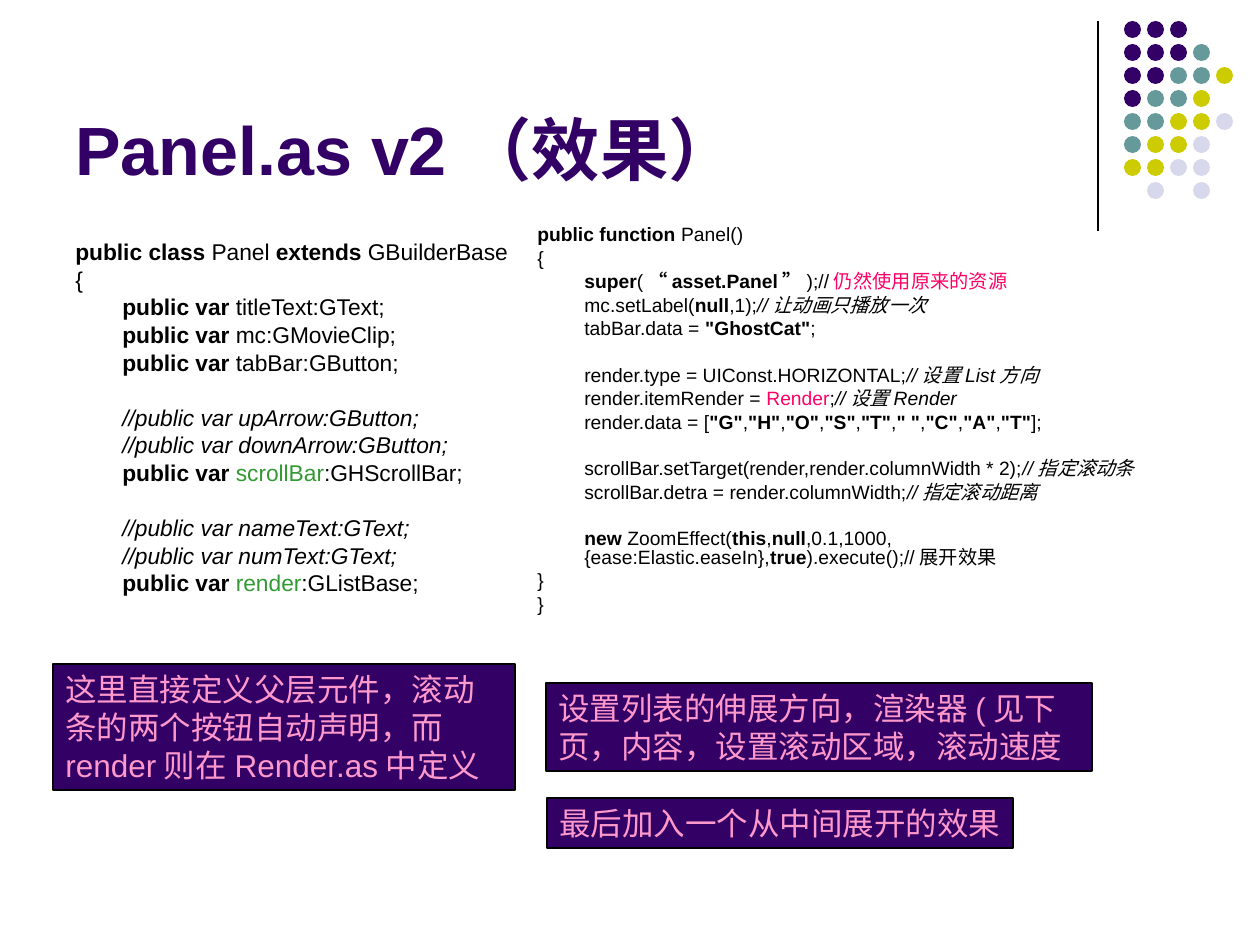
from pptx import Presentation
from pptx.dml.color import RGBColor
from pptx.enum.shapes import MSO_CONNECTOR, MSO_SHAPE
from pptx.enum.text import MSO_ANCHOR, PP_ALIGN
from pptx.oxml.ns import qn
from pptx.util import Pt
from lxml.etree import SubElement

COLORS = {
    "purple": "330066", "teal": "669999", "olive": "CCCC00", "lilac": "D8D8EC",
    "black": "000000", "green": "339933", "red": "FF0066", "pink": "FF99CC",
}
DOTS = ["PPP", "PPPT", "PPTTO", "PTTO", "TTOOL", "TOOL", "OOLL", " L L"]
DOT_COLORS = {"P": "purple", "T": "teal", "O": "olive", "L": "lilac"}
LETTERS = ["G", "H", "O", "S", "T", " ", "C", "A", "T"]

FIELDS = [
    [
        [("public class", "b"), (" Panel ", ""), ("extends", "b"), (" GBuilderBase", "")],
        [("{", "")],
        [("\tpublic var", "b"), (" titleText:GText;", "")],
        [("\tpublic var", "b"), (" mc:GMovieClip;", "")],
        [("\tpublic var", "b"), (" tabBar:GButton;", "")],
    ],
    [
        [("\t//public var upArrow:GButton;", "i")],
        [("\t//public var downArrow:GButton;", "i")],
        [("\tpublic var ", "b"), ("scrollBar", "g"), (":GHScrollBar;", "")],
    ],
    [
        [("\t//public var nameText:GText;", "i")],
        [("\t//public var numText:GText;", "i")],
        [("\tpublic var ", "b"), ("render", "g"), (":GListBase;", "")],
    ],
]


def letter_runs():
    """Return the runs of the letter array, with plain commas between bold strings."""
    runs = [("\trender.data = [", "")]
    for n, letter in enumerate(LETTERS):
        if n:
            runs.append((",", ""))
        runs.append((f'"{letter}"', "b"))
    return runs + [("];", "")]


CONSTRUCTOR = [
    [
        [("public function", "b"), (" Panel()", "")],
        [("{", "")],
        [("\tsuper", "b"), ("(", ""), ("“asset.Panel”", "b"), (");//", ""),
         ("仍然使用原来的资源", "r")],
        [("\tmc.setLabel(", ""), ("null", "b"), (",1);", ""), ("//让动画只播放一次", "i")],
        [("\ttabBar.data = ", ""), ('"GhostCat"', "b"), (";", "")],
    ],
    [
        [("\trender.type = UIConst.HORIZONTAL;", ""), ("//设置List方向", "i")],
        [("\trender.itemRender = ", ""), ("Render", "r"), (";", ""), ("//设置Render", "i")],
        letter_runs(),
    ],
    [
        [("\tscrollBar.setTarget(render,render.columnWidth * 2);", ""), ("//指定滚动条", "i")],
        [("\tscrollBar.detra = render.columnWidth;", ""), ("//指定滚动距离", "i")],
    ],
    [
        [("\tnew ", "b"), ("ZoomEffect(", ""), ("this", "b"), (",", ""), ("null", "b"),
         (",0.1,1000,{ease:Elastic.easeIn},", ""), ("true", "b"),
         (").execute();//展开效果", "")],
        [("}", "")],
        [("}", "")],
    ],
]


def px(n):
    """Turn pixels into EMU."""
    return round(n * 914400 / 126)


def rgb(name):
    """Look up a named colour."""
    return RGBColor.from_string(COLORS[name])


def add_run(p, text, size, color, bold=False, italic=False):
    """Add one Arial run to a paragraph."""
    r = p.add_run()
    r.text = text
    r.font.name = "Arial"
    r.font.size = Pt(size)
    r.font.bold = bold
    r.font.italic = italic
    r.font.color.rgb = rgb(color)


def add_text_box(s, x, y, w, h):
    """Add a wrapping text box and return its text frame."""
    tf = s.shapes.add_textbox(px(x), px(y), px(w), px(h)).text_frame
    tf.word_wrap = True
    return tf


def add_ornament(s, x, y, h):
    """Draw the vertical rule and the dot grid to its right."""
    rule = s.shapes.add_connector(MSO_CONNECTOR.STRAIGHT, px(x), px(y), px(x), px(y + h))
    rule.line.color.rgb = rgb("black")
    rule.line.width = Pt(0.75)
    SubElement(rule._element.spPr, qn("a:effectLst"))
    for row, codes in enumerate(DOTS):
        for col, code in enumerate(codes):
            if code in DOT_COLORS:
                dot = s.shapes.add_shape(MSO_SHAPE.OVAL, px(x + 26 + 23 * col),
                                         px(y + 23 * row), px(17), px(17))
                dot.shadow.inherit = False
                dot.fill.solid()
                dot.fill.fore_color.rgb = rgb(DOT_COLORS[code])
                dot.line.fill.background()


def add_title(s, x, y, w, h, text):
    """Place the bottom-anchored title."""
    tf = add_text_box(s, x, y, w, h)
    tf.vertical_anchor = MSO_ANCHOR.BOTTOM
    add_run(tf.paragraphs[0], text, 39, "purple", bold=True)


def add_code(s, x, y, w, h, blocks, size, space, gap):
    """Place code blocks with hanging indents and a wider gap between blocks."""
    tf = add_text_box(s, x, y, w, h)
    for b, block in enumerate(blocks):
        for n, runs in enumerate(block):
            first = b == 0 and n == 0
            p = tf.paragraphs[0] if first else tf.add_paragraph()
            pPr = p._p.get_or_add_pPr()
            pPr.set("marL", str(px(47)))
            pPr.set("indent", str(-px(47)))
            p.line_spacing = 0.8
            p.space_before = Pt(0 if first else space if n else gap)
            for text, style in runs:
                color = {"g": "green", "r": "red"}.get(style, "black")
                add_run(p, text, size, color, style == "b", style == "i")


def add_note(s, x, y, w, h, text, wrap=True):
    """Place a filled note box."""
    sp = s.shapes.add_shape(MSO_SHAPE.RECTANGLE, px(x), px(y), px(w), px(h))
    sp.shadow.inherit = False
    sp.fill.solid()
    sp.fill.fore_color.rgb = rgb("purple")
    sp.line.color.rgb = rgb("black")
    sp.line.width = Pt(0.75)
    tf = sp.text_frame
    tf.word_wrap = wrap
    tf.vertical_anchor = MSO_ANCHOR.TOP
    p = tf.paragraphs[0]
    p.alignment = PP_ALIGN.LEFT
    add_run(p, text, 18, "pink")


def main():
    """Build the slide and save it."""
    prs = Presentation()
    prs.slide_width, prs.slide_height = px(1260), px(945)
    s = prs.slides.add_slide(prs.slide_layouts[6])
    add_ornament(s, 1098, 21, 210)
    add_title(s, 63, 16, 1040, 179, "Panel.as v2（效果）")
    add_code(s, 63, 237, 462, 607, FIELDS, 13, 3.3, 19)
    add_code(s, 525, 221, 693, 624, CONSTRUCTOR, 11, 2.8, 16.1)
    add_note(s, 53, 664, 462, 126,
             "这里直接定义父层元件，滚动条的两个按钮自动声明，而render则在Render.as中定义")
    add_note(s, 546, 683, 546, 88,
             "设置列表的伸展方向，渲染器(见下页，内容，设置滚动区域，滚动速度")
    add_note(s, 547, 798, 466, 50, "最后加入一个从中间展开的效果", wrap=False)
    prs.save("out.pptx")


if __name__ == "__main__":
    main()
